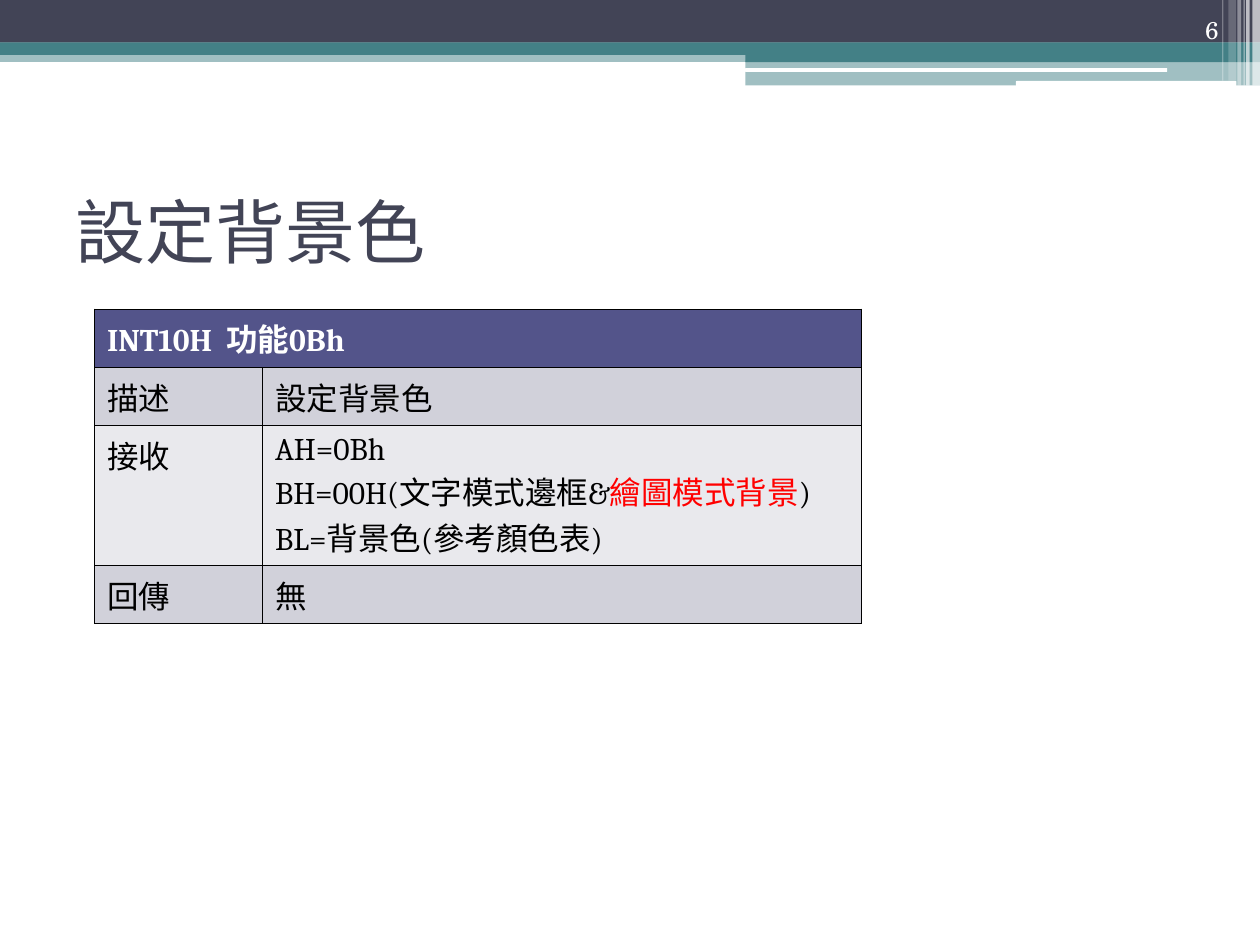
from dataclasses import dataclass

from lxml.etree import SubElement
from pptx import Presentation
from pptx.dml.color import RGBColor
from pptx.enum.shapes import MSO_SHAPE
from pptx.enum.text import MSO_ANCHOR, PP_ALIGN
from pptx.oxml.ns import qn
from pptx.util import Pt


@dataclass(frozen=True)
class Theme:
    navy: str = "424456"
    teal: str = "438086"
    white: str = "FFFFFF"
    black: str = "000000"
    red: str = "FF0000"
    header: str = "53548A"
    band_dark: str = "D1D1DA"
    band_light: str = "E9E9ED"
    title_size: float = 40
    table_size: float = 18
    number_size: float = 13.9
    cjk_title: str = "Noto Sans CJK SC"
    cjk_body: str = "Noto Sans CJK TC"
    serif: str = "TeX Gyre Schola"
    code: str = "Cambria"


theme = Theme()


def add_run(paragraph, text, size, color, latin, cjk=theme.cjk_body, bold=False):
    run = paragraph.add_run()
    run.text = text
    for attribute, value in {"size": Pt(size), "name": latin, "bold": bold}.items():
        setattr(run.font, attribute, value)
    run.font.color.rgb = RGBColor.from_string(color)
    SubElement(run.font._element, qn("a:ea"), typeface=cjk)


def add_border(cell):
    """Draw a thin line on all four sides; borders must precede the cell fill."""
    properties = cell._tc.get_or_add_tcPr()
    for side in ("a:lnL", "a:lnR", "a:lnT", "a:lnB"):
        line = SubElement(properties, qn(side), w=str(Pt(0.45)))
        fill = SubElement(line, qn("a:solidFill"))
        SubElement(fill, qn("a:srgbClr"), val=theme.black)


deck = Presentation()
deck.slide_width, deck.slide_height = Pt(720), Pt(540)
slide = deck.slides.add_slide(deck.slide_layouts[5])

# Header bands and stripes: left, top, width, height, colour, opacity in percent
rect, rounded = MSO_SHAPE.RECTANGLE, MSO_SHAPE.ROUNDED_RECTANGLE
bands = [
    (rect, 0, 28.8, 720, 6.6, theme.teal, 50),
    (rect, 0, 0, 720, 24.4, theme.navy, 100),
    (rect, 0, 24.2, 720, 7.2, theme.teal, 100),
    (rect, 426, 28.3, 294, 7.2, theme.teal, 100),
    (rect, 426, 34.6, 294, 14.2, theme.teal, 50),
    (rounded, 425.8, 38.9, 241.2, 2.2, theme.white, 100),
    (rounded, 580.5, 46.3, 126, 2.9, theme.white, 100),
]
stripes = [
    (715.6, 4.4, 48.9, 65),
    (712.1, 2.1, 48.9, 65),
    (710.6, 0.7, 48.9, 60),
    (707.1, 2.1, 48.9, 40),
    (702, 4.3, 46.1, 20),
    (698.4, 0.7, 46.1, 30),
]
bands += [
    (rect, left, 0, width, height, theme.white, opacity)
    for left, width, height, opacity in stripes
]
for kind, left, top, width, height, color, opacity in bands:
    band = slide.shapes.add_shape(kind, Pt(left), Pt(top), Pt(width), Pt(height))
    band.shadow.inherit = False
    band.line.fill.background()
    band.fill.solid()
    band.fill.fore_color.rgb = RGBColor.from_string(color)
    if opacity < 100:
        tint = band._element.spPr.find(qn("a:solidFill"))[0]
        SubElement(tint, qn("a:alpha"), val=str(opacity * 1000))

title = slide.shapes.title
title_box = {"left": Pt(36), "top": Pt(90), "width": Pt(648), "height": Pt(84)}
for attribute, value in title_box.items():
    setattr(title, attribute, value)
title.text_frame.vertical_anchor = MSO_ANCHOR.MIDDLE
heading = title.text_frame.paragraphs[0]
heading.alignment = PP_ALIGN.LEFT
add_run(heading, "設定背景色", theme.title_size, theme.navy,
        theme.cjk_title, theme.cjk_title)

page_number = slide.shapes.add_textbox(Pt(643.7), 0, Pt(59.8), Pt(28.8)).text_frame
page_number.word_wrap = True
page_number.vertical_anchor = MSO_ANCHOR.BOTTOM
number_line = page_number.paragraphs[0]
number_line.alignment = PP_ALIGN.RIGHT
number_line.line_spacing = 0.8
add_run(number_line, "6", theme.number_size, theme.white, theme.serif)

# Each cell is a list of lines, each line a list of (text, colour) runs
black = theme.black
single_height, receive_height = 33.3, 80
rows = [
    (single_height, theme.header, [[[("INT10H  功能0Bh", theme.white)]]]),
    (single_height, theme.band_dark, [[[("描述", black)]], [[("設定背景色", black)]]]),
    (receive_height, theme.band_light, [
        [[("接收", black)]],
        [
            [("AH=0Bh", black)],
            [("BH=00H(文字模式邊框&", black), ("繪圖模式背景", theme.red), (")", black)],
            [("BL=背景色(參考顏色表)", black)],
        ],
    ]),
    (single_height, theme.band_dark, [[[("回傳", black)]], [[("無", black)]]]),
]
widths = (96, 342.5)
table = slide.shapes.add_table(
    len(rows), len(widths), Pt(54), Pt(176.6), Pt(sum(widths)),
    Pt(sum(height for height, _, _ in rows)),
).table
for column, width in zip(table.columns, widths):
    column.width = Pt(width)
table.cell(0, 0).merge(table.cell(0, 1))

for row_index, (height, fill_color, contents) in enumerate(rows):
    table.rows[row_index].height = Pt(height)
    for cell in table.rows[row_index].cells:
        add_border(cell)
        cell.fill.solid()
        cell.fill.fore_color.rgb = RGBColor.from_string(fill_color)
    is_header = row_index == 0
    for column_index, lines in enumerate(contents):
        frame = table.cell(row_index, column_index).text_frame
        latin = theme.code if is_header or column_index else theme.serif
        for line_index, line in enumerate(lines):
            paragraph = frame.add_paragraph() if line_index else frame.paragraphs[0]
            for text, color in line:
                add_run(paragraph, text, theme.table_size, color, latin, bold=is_header)

deck.save("out.pptx")
